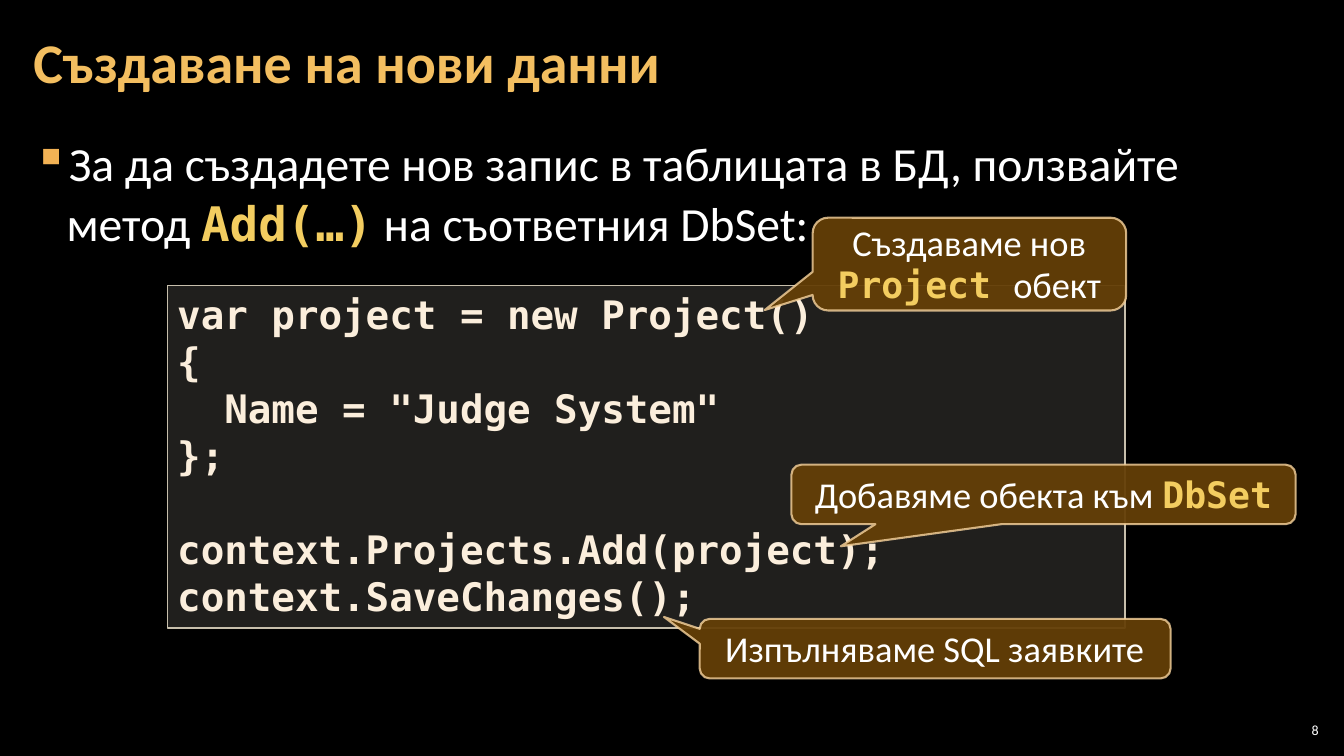
from lxml import etree
from pptx import Presentation
from pptx.dml.color import RGBColor
from pptx.enum import shapes, text
from pptx.oxml import ns
from pptx.util import Inches, Pt

HUES = {
    "back": "000000", "white": "FFFFFF", "title": "F3BE60", "bullet": "F2B254",
    "key": "F3CD60", "code": "FBEEDC", "panel": "D9D5C7", "edge": "C7BFAC",
    "note": "643F07", "rim": "F8D49E",
}
SANS, MONO = "Calibri", "DejaVu Sans Mono"

CODE = """var project = new Project()
{
  Name = "Judge System"
};

context.Projects.Add(project);
context.SaveChanges();"""

# Box, pointer tip, then runs as (words, is key)
NOTES = [
    ((6.94, 6.14, 4.67, 0.59), (-0.576, -0.534),
     [("Изпълняваме SQL заявките", False)]),
    ((8.06, 2.16, 3.11, 0.92), (-0.653, 0.496),
     [("Създаваме нов ", False), ("Project ", True), ("обект", False)]),
    ((7.85, 4.61, 5, 0.59), (-0.402, 0.872),
     [("Добавяме обекта към ", False), ("DbSet", True)]),
]


def color(name):
    return RGBColor.from_string(HUES[name])


def style(font, size=None, name=SANS, hue="white", bold=False):
    if size:
        font.size = Pt(size)
    font.name = name
    font.bold = bold
    font.color.rgb = color(hue)


def fade(fill, share):
    """Make a solid fill partly clear; share is the opacity in percent."""
    tint = fill._xPr.find(".//" + ns.qn("a:srgbClr"))
    etree.SubElement(tint, ns.qn("a:alpha"), val=str(share * 1000))


def add_runs(para, runs):
    for words, key in runs:
        run = para.add_run()
        run.text = words
        if key:
            style(run.font, name=MONO, hue="key", bold=True)


def add_text(slide, box, pads, anchor=text.MSO_ANCHOR.TOP):
    frame = slide.shapes.add_textbox(*map(Inches, box)).text_frame
    frame.word_wrap = True
    frame.vertical_anchor = anchor
    frame.margin_left = frame.margin_right = Inches(pads[0])
    frame.margin_top = frame.margin_bottom = Inches(pads[1])
    return frame.paragraphs[0]


def add_panel(slide, kind, box, fill, line, width):
    """Add a shape; fill and line are (colour, opacity)."""
    shape = slide.shapes.add_shape(kind, *map(Inches, box))
    shape.shadow.inherit = False
    shape.line.width = Pt(width)
    for paint, (hue, share) in ((shape.fill, fill), (shape.line.fill, line)):
        paint.solid()
        paint.fore_color.rgb = color(hue)
        if share < 100:
            fade(paint, share)
    shape.text_frame.word_wrap = True
    return shape


def add_bullet(para):
    props = para._p.get_or_add_pPr()
    props.set("marL", str(Inches(0.33)))
    props.set("indent", str(-Inches(0.33)))
    tint = etree.SubElement(props, ns.qn("a:buClr"))
    etree.SubElement(tint, ns.qn("a:srgbClr"), val=HUES["bullet"])
    etree.SubElement(props, ns.qn("a:buChar"), char="▪")


def add_code(slide, box):
    panel = add_panel(slide, shapes.MSO_SHAPE.RECTANGLE, box,
                      ("panel", 15), ("edge", 100), 1)
    frame = panel.text_frame
    frame.vertical_anchor = text.MSO_ANCHOR.TOP
    frame.text = CODE
    for para in frame.paragraphs:
        para.alignment = text.PP_ALIGN.LEFT
        style(para.font, 28, MONO, "code", True)


def add_note(slide, box, tip, runs):
    note = add_panel(slide, shapes.MSO_SHAPE.ROUNDED_RECTANGULAR_CALLOUT, box,
                     ("note", 95), ("rim", 80), 1.5)
    note.adjustments[0], note.adjustments[1] = tip
    note.text_frame.vertical_anchor = text.MSO_ANCHOR.MIDDLE
    para = note.text_frame.paragraphs[0]
    para.alignment = text.PP_ALIGN.CENTER
    para.line_spacing = Pt(30)
    style(para.font, 26)
    add_runs(para, runs)


def main():
    deck = Presentation()
    deck.slide_width, deck.slide_height = Inches(13.33), Inches(7.5)
    slide = deck.slides.add_slide(deck.slide_layouts[6])
    slide.background.fill.solid()
    slide.background.fill.fore_color.rgb = color("back")

    # Main point
    point = add_text(slide, (0.21, 1.26, 12.91, 6.09), (0.12, 0.04))
    add_bullet(point)
    point.line_spacing = 1.05
    point.space_after = Pt(6)
    style(point.font, 34)
    add_runs(point, [
        ("За да създадете нов запис в таблицата в БД, ползвайте метод ", False),
        ("Add(…)", True), (" на съответния DbSet:", False)])

    # Title
    title = add_text(slide, (0.21, 0.04, 12.91, 1.21), (0.12, 0.04),
                     text.MSO_ANCHOR.MIDDLE)
    title.line_spacing = 0.9
    style(title.font, 40, hue="title", bold=True)
    add_runs(title, [("Създаване на нови данни", False)])

    # Code and its callouts
    add_code(slide, (1.66, 2.83, 9.5, 3.4))
    for note in NOTES:
        add_note(slide, *note)

    # Slide number
    number = add_text(slide, (12.65, 7.14, 0.47, 0.21), (0.04, 0.04),
                      text.MSO_ANCHOR.MIDDLE)
    number.alignment = text.PP_ALIGN.RIGHT
    style(number.font, 10)
    add_runs(number, [("8", False)])

    deck.save("out.pptx")


if __name__ == "__main__":
    main()
